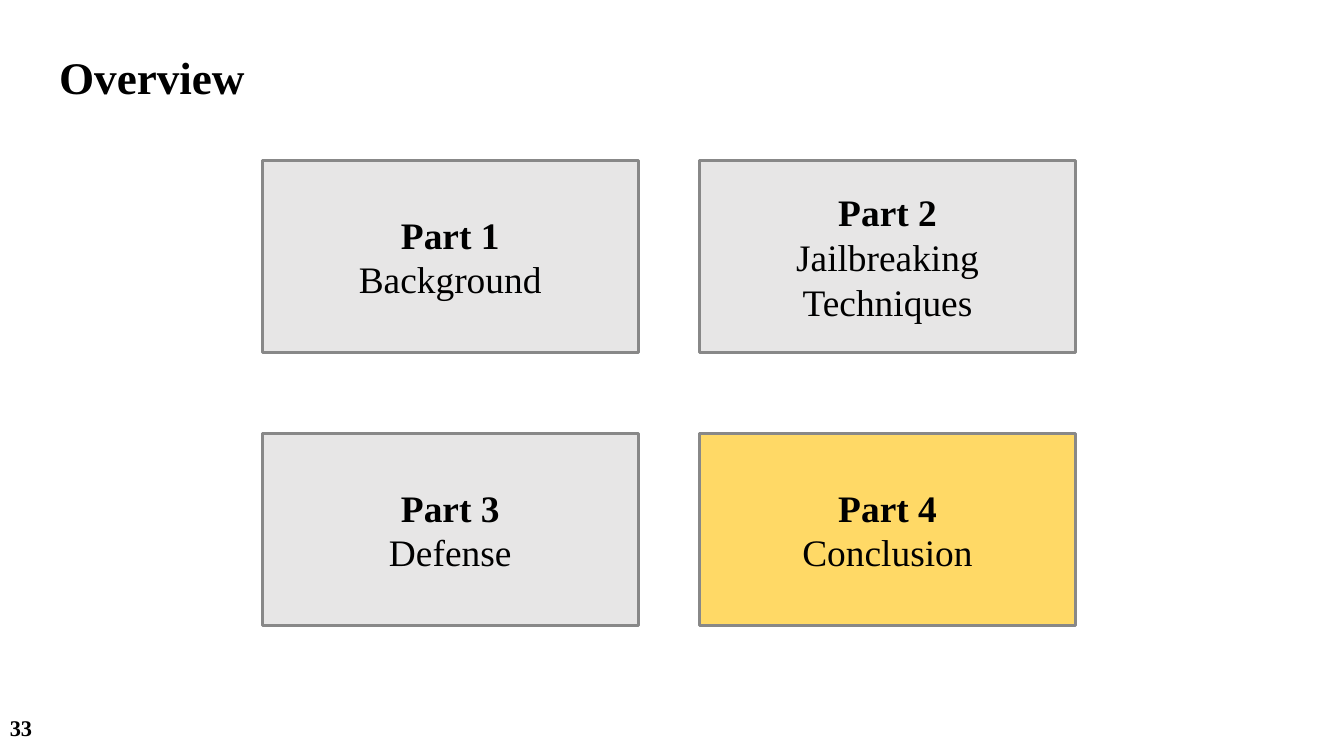
from dataclasses import dataclass

from pptx import Presentation
from pptx.dml.color import RGBColor
from pptx.enum import shapes, text
from pptx.util import Cm, Pt


@dataclass(frozen=True)
class Theme:
    """Colours, font and type sizes of the slide."""

    font: str = "Times New Roman"
    ink: str = "000000"
    card: str = "E7E6E6"
    current: str = "FFD966"
    border: str = "888888"
    title_size: float = 32.3
    card_size: float = 26.7
    number_size: float = 16


THEME = Theme()
PARTS = ["Background", "Jailbreaking Techniques", "Defense", "Conclusion"]
CURRENT_PART = 4


def write(paragraph, words, size, bold=True, align=text.PP_ALIGN.LEFT):
    """Put formatted words into a paragraph."""
    paragraph.alignment = align
    run = paragraph.add_run()
    run.text = words
    run.font.name = THEME.font
    run.font.size = Pt(size)
    run.font.bold = bold
    run.font.color.rgb = RGBColor.from_string(THEME.ink)


def prepare(frame):
    """Give a text frame even insets, wrapping and middle anchoring."""
    frame.margin_left = frame.margin_right = Cm(0.34)
    frame.margin_top = frame.margin_bottom = Cm(0.34)
    frame.word_wrap = True
    frame.auto_size = text.MSO_AUTO_SIZE.NONE
    frame.vertical_anchor = text.MSO_ANCHOR.MIDDLE
    return frame


def add_title(slide, words):
    """Place the heading in the title placeholder."""
    title = slide.shapes.title
    title.left, title.top = Cm(1.15), Cm(0.87)
    title.width, title.height = Cm(31.55), Cm(2.12)
    write(prepare(title.text_frame).paragraphs[0], words, THEME.title_size)


def add_part(slide, number, topic):
    """Place one part of the talk in the two-column grid."""
    row, column = divmod(number - 1, 2)
    card = slide.shapes.add_shape(
        shapes.MSO_SHAPE.RECTANGLE,
        Cm(6.61 + column * 11.02), Cm(4.04 + row * 6.88), Cm(9.48), Cm(4.85),
    )
    card.shadow.inherit = False
    fill = THEME.current if number == CURRENT_PART else THEME.card
    card.fill.solid()
    card.fill.fore_color.rgb = RGBColor.from_string(fill)
    card.line.color.rgb = RGBColor.from_string(THEME.border)
    card.line.width = Pt(2.25)
    frame = prepare(card.text_frame)
    center = text.PP_ALIGN.CENTER
    write(frame.paragraphs[0], f"Part {number}", THEME.card_size, align=center)
    write(frame.add_paragraph(), topic, THEME.card_size, bold=False, align=center)


def add_page_number(slide, number):
    """Place the page number in the bottom left corner."""
    page = slide.shapes.add_textbox(Cm(-0.89), Cm(17.6), Cm(2.04), Cm(1.45))
    frame = prepare(page.text_frame)
    write(frame.paragraphs[0], number, THEME.number_size, align=text.PP_ALIGN.RIGHT)


def main():
    """Build and save the overview slide."""
    deck = Presentation()
    deck.slide_width, deck.slide_height = Cm(33.87), Cm(19.05)
    slide = deck.slides.add_slide(deck.slide_layouts[5])
    add_title(slide, "Overview")
    for number, topic in enumerate(PARTS, start=1):
        add_part(slide, number, topic)
    add_page_number(slide, "33")
    deck.save("out.pptx")


if __name__ == "__main__":
    main()
